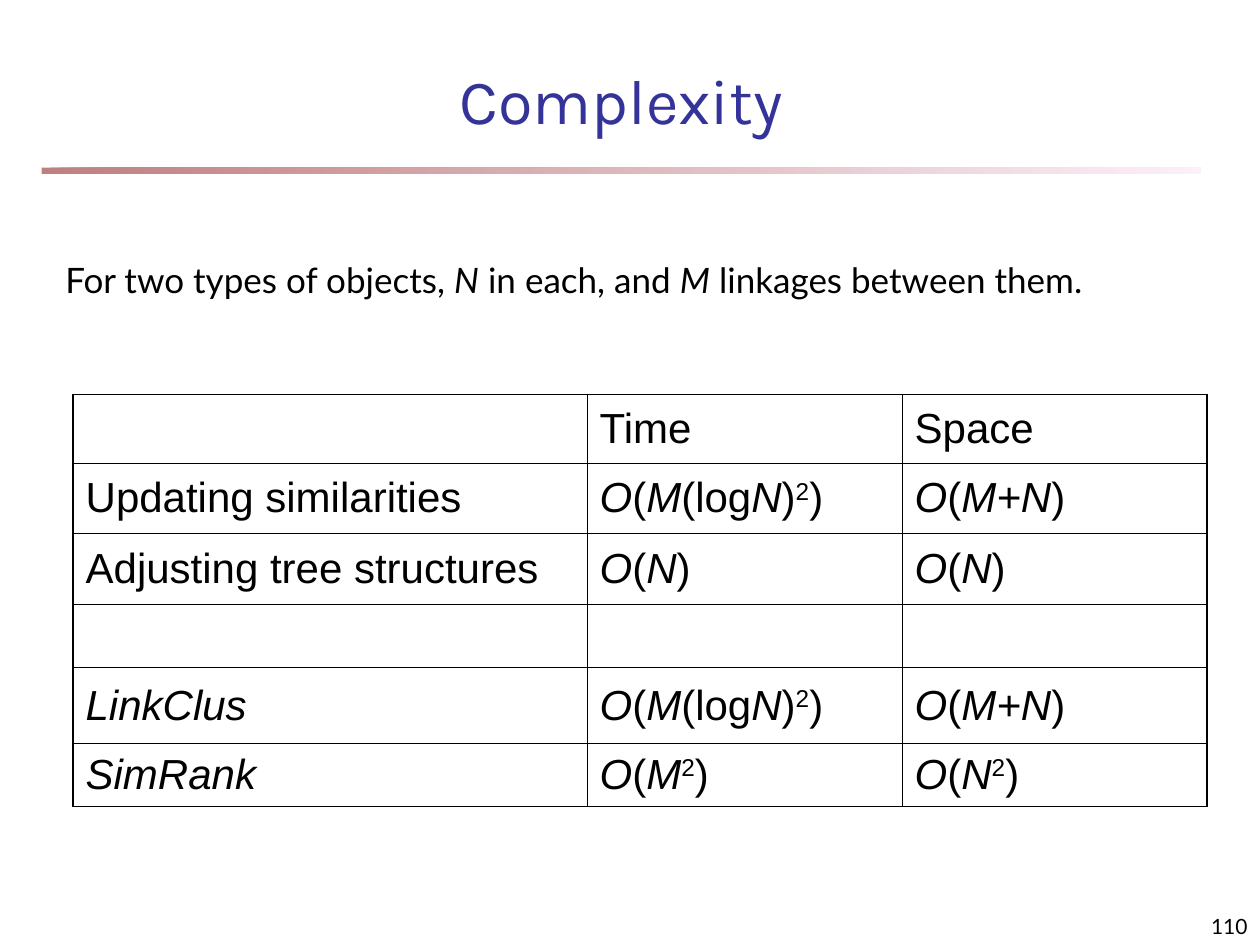
"""Build the Complexity slide: a title, a sentence and a table of time and space costs."""
from pptx import Presentation
from pptx import util as u
from pptx.dml import color
from pptx.enum import shapes, text
from pptx.oxml import ns, parse_xml

Inches = u.Inches
ITALIC = {"O", "M", "N", "M+N", "LinkClus", "SimRank"}


def rgb(value):
    return color.RGBColor.from_string(value)


def write(tf, marked, font, size, ink="000000"):
    p = tf.paragraphs[0]
    for part in marked.split("|"):
        r = p.add_run()
        r.text = part
        r.font.name, r.font.size = font, u.Pt(size)
        r.font.color.rgb = rgb(ink)
        r.font.italic = part in ITALIC
        if part == "2":
            r.font._element.set("baseline", "30000")
    return p


prs = Presentation()
prs.slide_width, prs.slide_height = Inches(10), Inches(7.5)
s = prs.slides.add_slide(prs.slide_layouts[5])

rule = s.shapes.add_shape(shapes.MSO_SHAPE.RECTANGLE, Inches(0.33), Inches(1.33), Inches(9.2), Inches(0.05))
rule.shadow.inherit = False
rule.line.fill.background()
rule.fill.gradient()
rule.fill.gradient_angle = 0
for stop, ink in zip(rule.fill.gradient_stops, ("800000", "FAE2F6")):
    stop.color.rgb = rgb(ink)
for clr in rule._element.spPr.iter(ns.qn("a:srgbClr")):
    clr.append(parse_xml(f'<a:alpha {ns.nsdecls("a")} val="50000"/>'))

title = s.shapes.title
title.left, title.top, title.width, title.height = Inches(0.67), Inches(0.42), Inches(8.52), Inches(0.67)
tf = title.text_frame
tf.auto_size = text.MSO_AUTO_SIZE.NONE
tf.vertical_anchor = text.MSO_ANCHOR.BOTTOM
tf.margin_left = tf.margin_right = tf.margin_top = tf.margin_bottom = 0
write(tf, "Complexity", "Karla", 36, "333399").alignment = text.PP_ALIGN.CENTER

rows = [
    ("", "Time", "Space"),
    ("Updating similarities", "O|(|M|(log|N|)|2|)", "O|(|M+N|)"),
    ("Adjusting tree structures", "O|(|N|)", "O|(|N|)"),
    ("", "", ""),
    ("LinkClus", "O|(|M|(log|N|)|2|)", "O|(|M+N|)"),
    ("SimRank", "O|(|M|2|)", "O|(|N|2|)"),
]
widths = (4.08, 2.5, 2.42)
heights = (0.55, 0.55, 0.57, 0.5, 0.6, 0.5)
table = s.shapes.add_table(len(rows), len(widths), Inches(0.58), Inches(3.13),
                           Inches(sum(widths)), Inches(sum(heights))).table
table.first_row = table.horz_banding = False
for column, width in zip(table.columns, widths):
    column.width = Inches(width)
for i, (row, height) in enumerate(zip(rows, heights)):
    table.rows[i].height = Inches(height)
    for j, marked in enumerate(row):
        cell = table.cell(i, j)
        cell.vertical_anchor = text.MSO_ANCHOR.MIDDLE
        outer = {"L": j == 0, "R": j == len(widths) - 1, "T": i == 0, "B": i == len(rows) - 1}
        for side, is_outer in outer.items():
            weight = u.Pt(1.08 if is_outer else 0.45)
            cell._tc.get_or_add_tcPr().append(parse_xml(
                f'<a:ln{side} {ns.nsdecls("a")} w="{weight}"><a:solidFill>'
                f'<a:srgbClr val="000000"/></a:solidFill></a:ln{side}>'))
        cell.fill.background()
        if marked:
            write(cell.text_frame, marked, "Arial", 24)

sentence = s.shapes.add_textbox(Inches(0.42), Inches(2), Inches(9.17), Inches(0.44))
sentence.text_frame.word_wrap = True
write(sentence.text_frame, "For two types of objects, |N| in each, and |M| linkages between them.", "Lato", 20)

number = s.shapes.add_textbox(Inches(7.92), Inches(7.08), Inches(2.08), Inches(0.42))
number.text_frame.word_wrap = True
number.text_frame.vertical_anchor = text.MSO_ANCHOR.BOTTOM
write(number.text_frame, "110", "Lato", 12).alignment = text.PP_ALIGN.RIGHT

prs.save("out.pptx")
